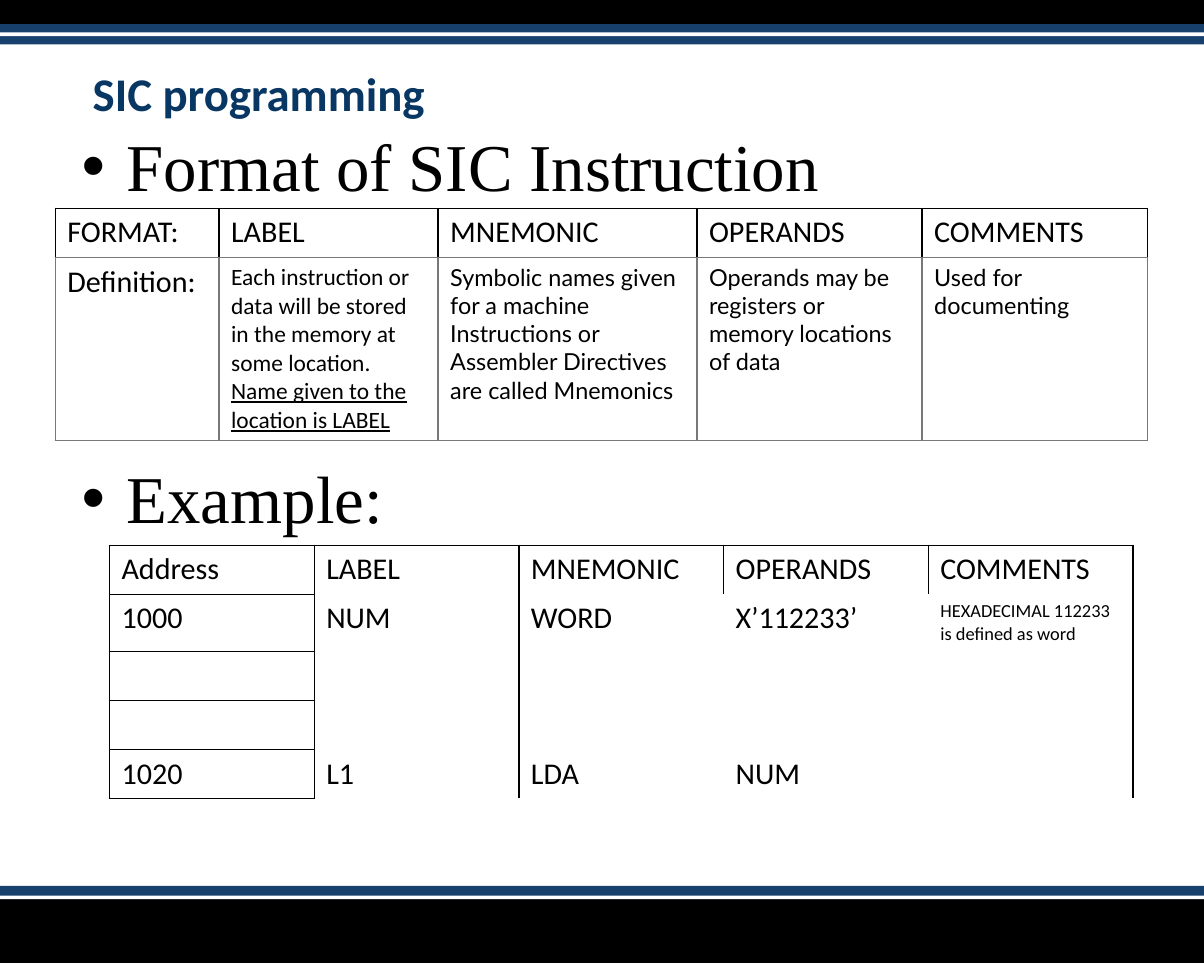
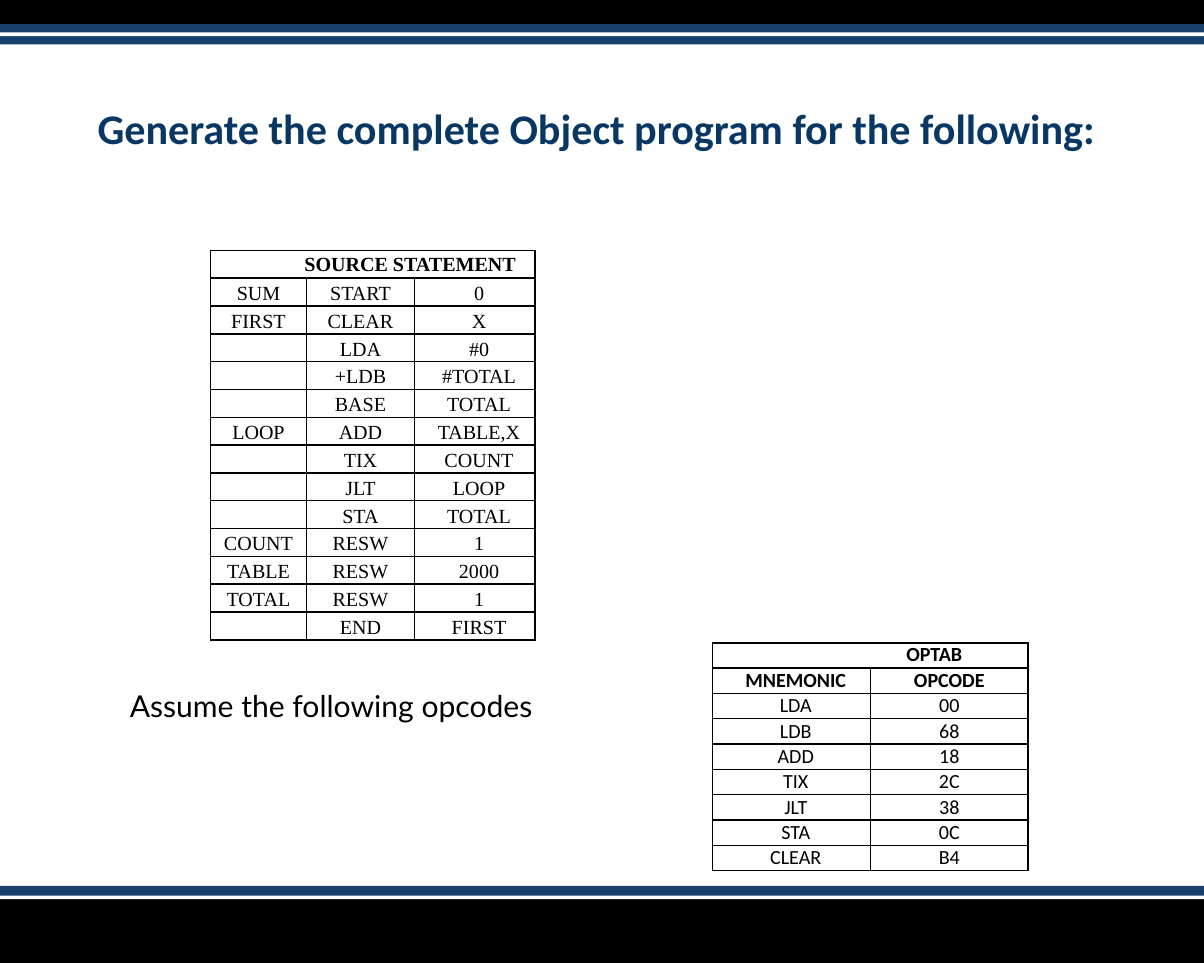
from lxml.etree import SubElement
from pptx import Presentation
from pptx.dml.color import RGBColor
from pptx.enum.shapes import MSO_SHAPE as Shape
from pptx.enum.text import MSO_ANCHOR as Anchor, MSO_AUTO_SIZE as AutoSize, PP_ALIGN as Align
from pptx.oxml.ns import qn
from pptx.util import Pt

COLORS = {"black": "000000", "white": "FFFFFF", "band": "17406D", "title": "083763", "grid": "787878"}
SANS, HUMANIST, SERIF = "Calibri", "Lato", "Times New Roman"
WIDTH, HEIGHT = 720, 576
BANDS = [
    (537.84, 38.16, "black"),
    (529.92, 7.92, "band"),
    (535.68, 2.16, "white"),
    (0, 14.4, "black"),
    (14.4, 12.24, "band"),
    (19.44, 2.16, "white"),
]
NO_GRID_STYLE = "{2D5ABB26-0587-4C30-8999-92F81FD0307C}"

FORMAT_ROWS = [
    ["FORMAT:", "LABEL", "MNEMONIC", "OPERANDS", "COMMENTS"],
    [
        "Definition:",
        "Each instruction or data will be stored in the memory at some location. ",
        "Symbolic names given for a machine Instructions or Assembler Directives are called Mnemonics",
        "Operands may be registers or memory locations of data",
        "Used for documenting",
    ],
]
EXAMPLE_ROWS = [
    ["Address", "LABEL", "MNEMONIC", "OPERANDS", "COMMENTS"],
    ["1000", "NUM", "WORD", "X’112233’", "HEXADECIMAL 112233 is defined as word"],
    [""] * 5,
    [""] * 5,
    ["1020", "L1", "LDA", "NUM", ""],
]
SOURCE_ROWS = [
    ["SOURCE STATEMENT", "", ""],
    ["SUM", "START", "0"],
    ["FIRST", "CLEAR", "X"],
    ["", "LDA", "#0"],
    ["", "+LDB", "#TOTAL"],
    ["", "BASE", "TOTAL"],
    ["LOOP", "ADD", "TABLE,X"],
    ["", "TIX", "COUNT"],
    ["", "JLT", "LOOP"],
    ["", "STA", "TOTAL"],
    ["COUNT", "RESW", "1"],
    ["TABLE", "RESW", "2000"],
    ["TOTAL", "RESW", "1"],
    ["", "END", "FIRST"],
]
OPCODE_ROWS = [
    ["OPTAB", ""],
    ["MNEMONIC", "OPCODE"],
    ["LDA", "00"],
    ["LDB", "68"],
    ["ADD", "18"],
    ["TIX", "2C"],
    ["JLT", "38"],
    ["STA", "0C"],
    ["CLEAR", "B4"],
]


def rgb(name):
    return RGBColor.from_string(COLORS[name])


def set_font(para, name, size, color="black", bold=False):
    font = para.font
    font.name, font.size, font.bold = name, Pt(size), bold
    font.color.rgb = rgb(color)


def set_indent(para, margin, first=0):
    properties = para._p.get_or_add_pPr()
    properties.set("marL", str(Pt(margin)))
    properties.set("indent", str(Pt(first)))
    return properties


def move_bands_to_layout(page):
    tree = page.slide_layout.shapes._spTree
    for number, (top, height, color) in enumerate(BANDS, 1):
        band = page.shapes.add_shape(Shape.RECTANGLE, 0, Pt(top), Pt(WIDTH), Pt(height))
        band.shadow.inherit = False
        band.fill.solid()
        band.fill.fore_color.rgb = rgb(color)
        band.line.fill.background()
        band.name = f"Band {number}"
        band._element.nvSpPr.cNvPr.set("id", str(100 + number))
        tree.append(band._element)


def set_title(page, text, left, top, width, height, size):
    title = page.shapes.title
    title.left, title.top, title.width, title.height = Pt(left), Pt(top), Pt(width), Pt(height)
    frame = title.text_frame
    frame.text = text
    frame.auto_size = AutoSize.NONE
    frame.vertical_anchor = Anchor.BOTTOM
    para = frame.paragraphs[0]
    para.alignment, para.line_spacing = Align.LEFT, 0.9
    set_font(para, SANS, size, "title", True)


def add_text(page, text, left, top, width, height, wrap=True):
    box = page.shapes.add_textbox(Pt(left), Pt(top), Pt(width), Pt(height))
    box.text_frame.word_wrap = wrap
    para = box.text_frame.paragraphs[0]
    para.text = text
    return para


def add_bullet(page, text, top):
    para = add_text(page, text, 41.76, top, 612, 50)
    para.line_spacing = 0.9
    properties = set_indent(para, 27, -27)
    color = SubElement(properties, qn("a:buClr"))
    SubElement(color, qn("a:srgbClr"), val=COLORS["black"])
    SubElement(properties, qn("a:buFont"), typeface="Arial")
    SubElement(properties, qn("a:buChar"), char="•")
    set_font(para, SERIF, 40)


def add_grid(page, rows, left, top, widths, heights):
    frame = page.shapes.add_table(
        len(rows), len(widths), Pt(left), Pt(top), Pt(sum(widths)), Pt(sum(heights))
    )
    table = frame.table
    table.first_row = table.horz_banding = False
    table._tbl.tblPr.find(qn("a:tableStyleId")).text = NO_GRID_STYLE
    for column, width in zip(table.columns, widths):
        column.width = Pt(width)
    for row, height in zip(table.rows, heights):
        row.height = Pt(height)
    return table


def set_borders(cell, sides, color="black"):
    properties = cell._tc.get_or_add_tcPr()
    for side in "LRTB":
        if side in sides:
            line = SubElement(properties, qn(f"a:ln{side}"), w=str(Pt(1)))
            fill = SubElement(line, qn("a:solidFill"))
            SubElement(fill, qn("a:srgbClr"), val=COLORS[color])
    cell.fill.background()


def fill_cell(cell, text, name, size, bold=False):
    para = cell.text_frame.paragraphs[0]
    if text:
        para.text = text
        set_font(para, name, size, bold=bold)
    else:
        SubElement(para._p, qn("a:endParaRPr"), sz=str(size * 100))
    return para


def add_format_table(page):
    table = add_grid(page, FORMAT_ROWS, 33.12, 124.56, [97.92, 131.04, 154.8, 134.64, 134.64], [29.5, 109.4])
    for r, row in enumerate(FORMAT_ROWS):
        for c, text in enumerate(row):
            cell = table.cell(r, c)
            if r:
                set_borders(cell, "LRTB", "grid")
            else:
                set_borders(cell, "LRT")
            para = fill_cell(cell, text, HUMANIST if r and c > 1 else SANS, 14 if r and c else 18)
            if r and c == 1:
                span = para.add_run()
                span.text = "Name given to the location is LABEL"
                span.font.underline = True


def add_example_table(page):
    heights = [29.3, 34.2] + [29.3] * 3
    table = add_grid(page, EXAMPLE_ROWS, 65.52, 326.16, [122.4] * 5, heights)
    for r, row in enumerate(EXAMPLE_ROWS):
        for c, text in enumerate(row):
            cell = table.cell(r, c)
            if c == 0:
                sides = "LRTB"
            elif r == 0:
                sides = "LRT"
            else:
                sides = {1: "L", 4: "R"}.get(c, "")
            set_borders(cell, sides)
            fill_cell(cell, text, SANS, 11 if r and c == 4 else 18)


def add_code_table(page, rows, left, top, widths, row_height, font, spacing, bold_rows, indents, heading_indent):
    table = add_grid(page, rows, left, top, widths, [row_height] * len(rows))
    table.cell(0, 0).merge(table.cell(0, len(widths) - 1))
    for r, row in enumerate(rows):
        for c, text in enumerate(row):
            cell = table.cell(r, c)
            cell.margin_left = cell.margin_right = cell.margin_top = cell.margin_bottom = 0
            set_borders(cell, "LRTB")
            if r:
                cell.vertical_anchor = Anchor.MIDDLE
            para = fill_cell(cell, text, font, 12, r < bold_rows)
            if text:
                para.alignment, para.line_spacing = Align.CENTER, spacing
                set_indent(para, indents[c] if r else heading_indent)


def build_format_page(page):
    set_title(page, "SIC programming", 48.24, 41.76, 612, 34.56, 28)
    add_bullet(page, "Format of SIC Instruction", 76.32)
    add_bullet(page, "Example:", 274.8)
    add_format_table(page)
    add_example_table(page)


def build_exercise_page(page):
    set_title(page, "Generate the complete Object program for the following:", 51.12, 41.04, 617.76, 54.72, 25.2)
    note = add_text(page, "Assume the following opcodes", 70.56, 407.52, 257.04, 28.8, wrap=False)
    set_font(note, HUMANIST, 18)
    add_code_table(page, SOURCE_ROWS, 126, 149.76, [57.2, 64.8, 72], 16.64, SERIF, 1.15, 1, [0, 0, 5], 44.64)
    add_code_table(page, OPCODE_ROWS, 426.24, 384.48, [94.32] * 2, 15.15, SANS, Pt(14.5), 2, [5, 0], 76.32)


def main():
    deck = Presentation()
    deck.slide_width, deck.slide_height = Pt(WIDTH), Pt(HEIGHT)
    layout = deck.slide_layouts[5]
    format_page, exercise_page = (deck.slides.add_slide(layout) for _ in range(2))
    move_bands_to_layout(format_page)
    build_format_page(format_page)
    build_exercise_page(exercise_page)
    deck.save("out.pptx")


if __name__ == "__main__":
    main()
